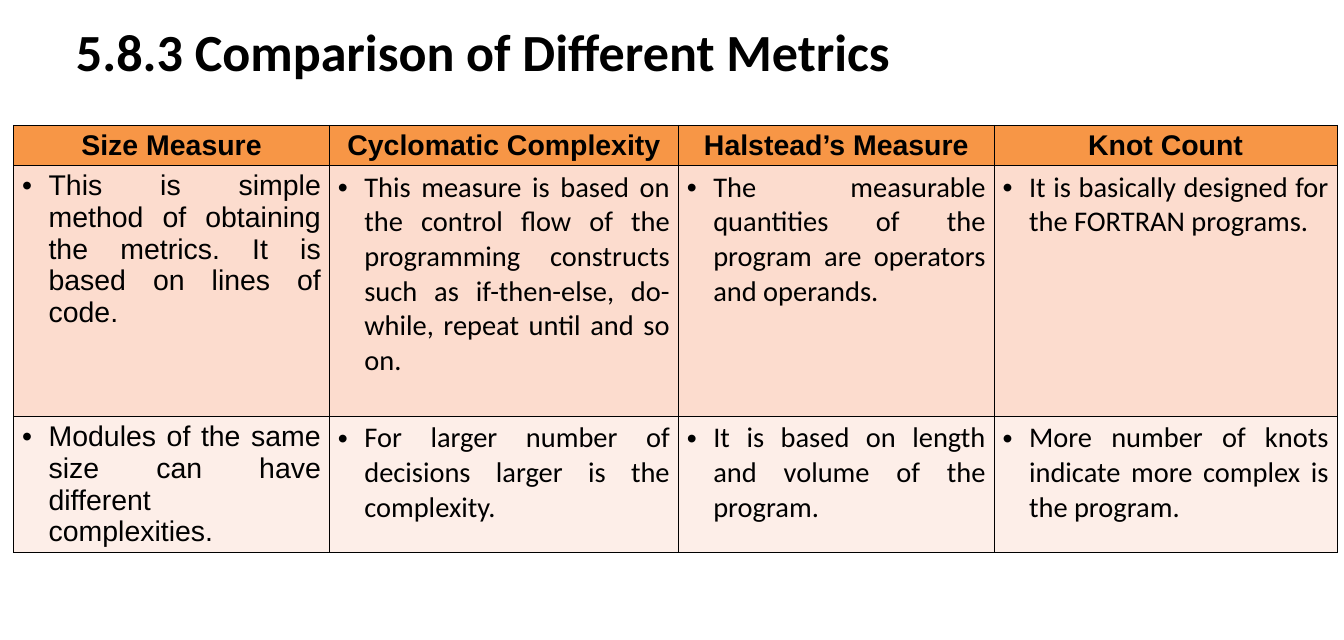
from lxml.etree import SubElement
from pptx import Presentation
from pptx.dml.color import RGBColor
from pptx.enum.text import MSO_ANCHOR, PP_ALIGN
from pptx.oxml.ns import qn
from pptx.util import Inches, Pt

BLACK = RGBColor(0x00, 0x00, 0x00)
ORANGE = RGBColor(0xF7, 0x96, 0x46)
PEACH = RGBColor(0xFC, 0xDC, 0xCE)
PALE_PEACH = RGBColor(0xFD, 0xEE, 0xE8)

COLUMN_WIDTHS = [3.7, 4.09, 3.7, 4.02]
ROW_HEIGHTS = [0.47, 2.94, 1.59]
ROW_FILLS = [ORANGE, PEACH, PALE_PEACH]
METRICS = [
    ["Size Measure", "Cyclomatic Complexity", "Halstead’s Measure", "Knot Count"],
    [
        "This is simple method of obtaining the metrics. It is based on lines of code.",
        "This measure is based on the control flow of the programming constructs "
        "such as if-then-else, do-while, repeat until and so on.",
        "The measurable quantities of the program are operators and operands.",
        "It is basically designed for the FORTRAN programs.",
    ],
    [
        "Modules of the same size can have different complexities.",
        "For larger number of decisions larger is the complexity.",
        "It is based on length and volume of the program.",
        "More number of knots indicate more complex is the program.",
    ],
]


def write_text(paragraph, text, alignment, font_format):
    paragraph.alignment = alignment
    run = paragraph.add_run()
    run.text = text
    for name, value in font_format.items():
        setattr(run.font, name, value)
    run.font.color.rgb = BLACK


def add_solid_line(cell_properties, side):
    line = SubElement(cell_properties, qn(f"a:{side}"), w=str(Pt(1)))
    fill = SubElement(line, qn("a:solidFill"))
    SubElement(fill, qn("a:srgbClr"), val=str(BLACK))


presentation = Presentation()
presentation.slide_width = Inches(15.75)
presentation.slide_height = Inches(7.5)
slide = presentation.slides.add_slide(presentation.slide_layouts[5])

title = slide.shapes.title
title_place = {"left": 0.79, "top": -0.03, "width": 14.18, "height": 1.25}
for name, value in title_place.items():
    setattr(title, name, Inches(value))
title.text_frame.vertical_anchor = MSO_ANCHOR.MIDDLE
write_text(
    title.text_frame.paragraphs[0],
    "5.8.3 Comparison of Different Metrics",
    PP_ALIGN.JUSTIFY,
    {"name": "Calibri", "size": Pt(44), "bold": True},
)

table = slide.shapes.add_table(
    len(ROW_HEIGHTS), len(COLUMN_WIDTHS), Inches(0.16), Inches(1.47),
    Inches(sum(COLUMN_WIDTHS)), Inches(sum(ROW_HEIGHTS)),
).table
for column, width in zip(table.columns, COLUMN_WIDTHS):
    column.width = Inches(width)
for row, height in zip(table.rows, ROW_HEIGHTS):
    row.height = Inches(height)

for row_index, texts in enumerate(METRICS):
    is_header = row_index == 0
    for column_index, text in enumerate(texts):
        cell = table.cell(row_index, column_index)
        cell_properties = cell._tc.get_or_add_tcPr()
        for side in ("lnL", "lnR", "lnT", "lnB"):
            add_solid_line(cell_properties, side)
        cell.fill.solid()
        cell.fill.fore_color.rgb = ROW_FILLS[row_index]

        paragraph = cell.text_frame.paragraphs[0]
        font_name = "Arial" if is_header or column_index == 0 else "Calibri"
        write_text(
            paragraph,
            text,
            PP_ALIGN.CENTER if is_header else PP_ALIGN.JUSTIFY,
            {"name": font_name, "size": Pt(24), "bold": is_header},
        )
        if not is_header:
            properties = paragraph._p.get_or_add_pPr()
            properties.set("marL", str(Inches(0.31)))
            properties.set("indent", str(-Inches(0.31)))
            bullet_color = SubElement(properties, qn("a:buClr"))
            SubElement(bullet_color, qn("a:srgbClr"), val=str(BLACK))
            SubElement(properties, qn("a:buFont"), typeface="Arial")
            SubElement(properties, qn("a:buChar"), char="•")

presentation.save("out.pptx")
